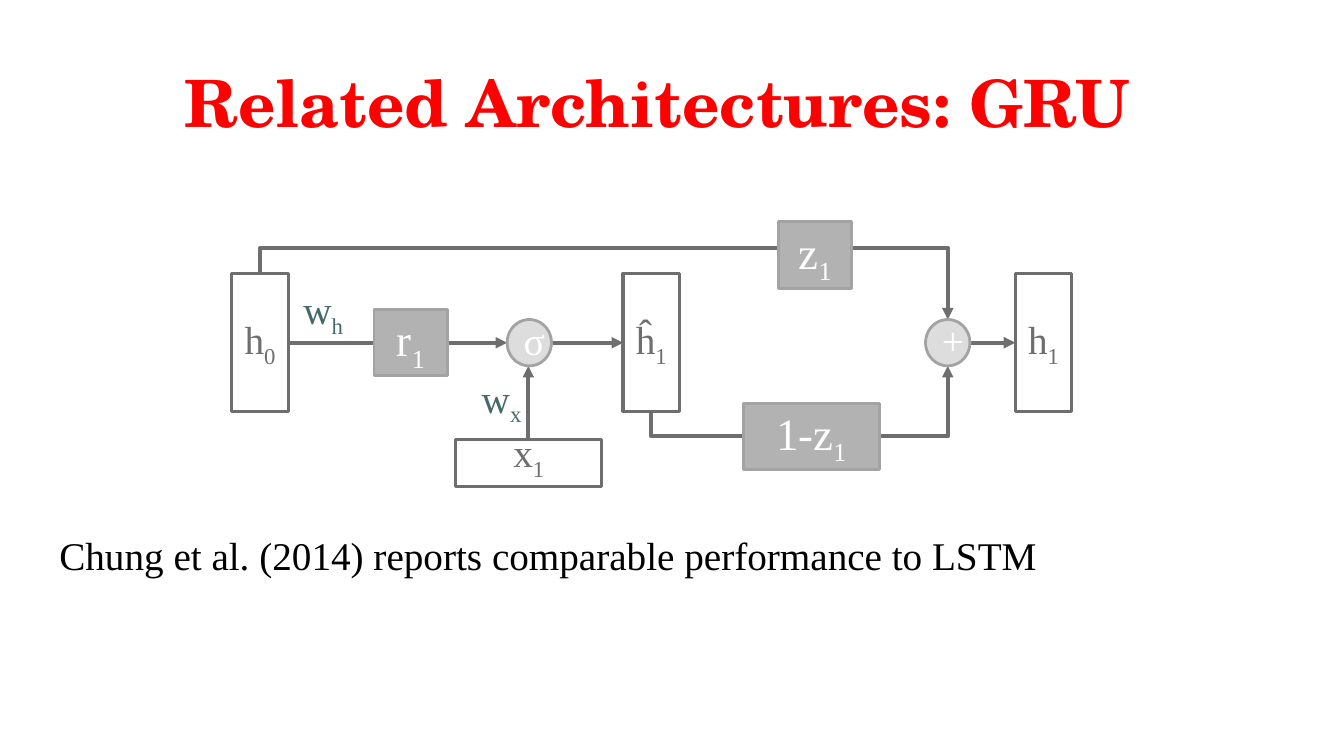
"""Builds a slide that shows the data flow of a gated recurrent unit."""
from dataclasses import dataclass

from lxml.etree import SubElement
from pptx import Presentation
from pptx.dml.color import RGBColor
from pptx.enum.shapes import MSO_CONNECTOR as Link, MSO_SHAPE as Preset
from pptx.enum.text import MSO_ANCHOR as Anchor, PP_ALIGN as Align
from pptx.oxml.ns import qn
from pptx.util import Inches, Pt

COLORS = {
    "title": "FF0000",
    "body": "000000",
    "weight": "456968",
    "dark": "6E6E6E",
    "edge": "A3A3A3",
    "gate": "B2B2B2",
    "operator": "DDDDDD",
    "white": "FFFFFF",
}
SERIF = "Times New Roman"
FLOW_Y = 3.4
DETOUR = 0.25


@dataclass(frozen=True)
class Style:
    """Look shared by one kind of node."""
    preset: Preset
    fill: str
    line: str
    line_width: float
    text: str
    size: float
    anchor: Anchor = Anchor.MIDDLE
    bottom: float = 0.05


@dataclass(frozen=True)
class Node:
    """A labelled box or circle of the unit."""
    style: Style
    left: float
    top: float
    width: float
    height: float
    label: str
    index: str = ""


@dataclass(frozen=True)
class Arrow:
    """A flow between two points, bent if it leaves vertically."""
    start: tuple[float, float]
    end: tuple[float, float]
    bent: bool = False


STATE = Style(Preset.RECTANGLE, "white", "dark", 2.25, "dark", 28)
INPUT = Style(Preset.RECTANGLE, "white", "dark", 2.25, "dark", 28, Anchor.BOTTOM)
GATE = Style(Preset.RECTANGLE, "gate", "edge", 2, "white", 32)
OPERATOR = Style(Preset.OVAL, "operator", "edge", 2, "white", 28, bottom=0.1)


def state(left: float, label: str, index: str) -> Node:
    """Return a tall hidden-state box."""
    return Node(STATE, left, 2.71, 0.56, 1.37, label, index)


def operator(left: float, label: str) -> Node:
    """Return a circle on the main flow."""
    return Node(OPERATOR, left, 3.17, 0.44, 0.46, label)


def gate(left: float, top: float, label: str, width: float = 0.73) -> Node:
    """Return a gate box."""
    return Node(GATE, left, top, width, 0.66, label, "1")


ARROWS = [
    Arrow((2.86, FLOW_Y), (5.03, FLOW_Y)),
    Arrow((5.24, 4.36), (5.24, 3.63)),
    Arrow((5.46, FLOW_Y), (6.18, FLOW_Y)),
    Arrow((9.62, FLOW_Y), (10.07, FLOW_Y)),
    Arrow((2.58, 2.71), (9.4, 3.17), bent=True),
    Arrow((6.46, 4.08), (9.4, 3.63), bent=True),
]
NODES = [
    Node(INPUT, 4.52, 4.36, 1.45, 0.47, "x", "1"),
    state(2.3, "h", "0"),
    state(6.18, "ĥ", "1"),
    state(10.07, "h", "1"),
    operator(5.03, "σ"),
    operator(9.18, "+"),
    gate(7.72, 2.2, "z"),
    gate(7.37, 4, "1-z", width=1.35),
    gate(3.71, 3.07, "r"),
]


def rgb(name: str) -> RGBColor:
    """Look up a colour by its role."""
    return RGBColor.from_string(COLORS[name])


def write(shape, text: str, *, size: float, color: str, index: str = "",
          font: str = SERIF, bold: bool = False, align=Align.CENTER,
          anchor=Anchor.TOP, bottom: float = 0.05) -> None:
    """Fill a shape with one line of text and an optional subscript."""
    frame = shape.text_frame
    frame.word_wrap = True
    frame.vertical_anchor = anchor
    frame.margin_bottom = Inches(bottom)
    paragraph = frame.paragraphs[0]
    paragraph.alignment = align
    for part in filter(None, (text, index)):
        run = paragraph.add_run()
        run.text = part
        run.font.name = font
        run.font.size = Pt(size)
        run.font.bold = bold
        run.font.color.rgb = rgb(color)
    if index:
        run.font._element.set("baseline", "-25000")


def add_text(slide, left: float, top: float, width: float, height: float,
             text: str, **style) -> None:
    """Add a text box."""
    box = slide.shapes.add_textbox(*map(Inches, (left, top, width, height)))
    write(box, text, **style)


def add_node(slide, node: Node) -> None:
    """Draw a labelled node."""
    style = node.style
    bounds = map(Inches, (node.left, node.top, node.width, node.height))
    shape = slide.shapes.add_shape(style.preset, *bounds)
    shape.shadow.inherit = False
    shape.fill.solid()
    shape.fill.fore_color.rgb = rgb(style.fill)
    shape.line.color.rgb = rgb(style.line)
    shape.line.width = Pt(style.line_width)
    write(shape, node.label, index=node.index, size=style.size,
          color=style.text, anchor=style.anchor, bottom=style.bottom)


def add_arrow(slide, arrow: Arrow) -> None:
    """Draw an arrow, turning the elbow frame when it leaves vertically."""
    (x1, y1), (x2, y2) = arrow.start, arrow.end
    kind = Link.STRAIGHT
    rise = abs(y2 - y1)
    downward = y2 > y1
    if arrow.bent:
        kind = Link.ELBOW
        middle_x, middle_y = (x1 + x2) / 2, (y1 + y2) / 2
        half_run = (x2 - x1) / 2 * (-1 if downward else 1)
        x1, x2 = middle_x + rise / 2, middle_x - rise / 2
        y1, y2 = middle_y + half_run, middle_y - half_run
    link = slide.shapes.add_connector(kind, *map(Inches, (x1, y1, x2, y2)))
    link.line.color.rgb = rgb("dark")
    link.line.width = Pt(2.75)
    properties = link._element.spPr
    SubElement(link.line._get_or_add_ln(), qn("a:tailEnd"), type="triangle")
    SubElement(properties, qn("a:effectLst"))
    if arrow.bent:
        turn = 270 if downward else 90
        properties.find(qn("a:xfrm")).set("rot", str(turn * 60000))
        guides = properties.find(qn("a:prstGeom")).get_or_add_avLst()
        bend = round(-DETOUR / rise * 100000)
        SubElement(guides, qn("a:gd"), name="adj1", fmla=f"val {bend}")


def main() -> None:
    """Build and save the slide."""
    deck = Presentation()
    deck.slide_width, deck.slide_height = Inches(13.33), Inches(7.5)
    slide = deck.slides.add_slide(deck.slide_layouts[6])
    add_text(slide, 0.37, 0.57, 12.3, 1.02, "Related Architectures: GRU",
             size=46.6, color="title", font="TeX Gyre Schola", bold=True)
    for left, top, index in ((4.61, 3.66, "x"), (2.84, 2.78, "h")):
        add_text(slide, left, top, 0.73, 0.88, "w", index=index,
                 size=28, color="weight")
    for arrow in ARROWS:
        add_arrow(slide, arrow)
    for node in NODES:
        add_node(slide, node)
    add_text(slide, 0.49, 5.22, 12, 0.57,
             "Chung et al. (2014) reports comparable performance to LSTM",
             size=28, color="body", align=Align.LEFT)
    deck.save("out.pptx")


if __name__ == "__main__":
    main()
